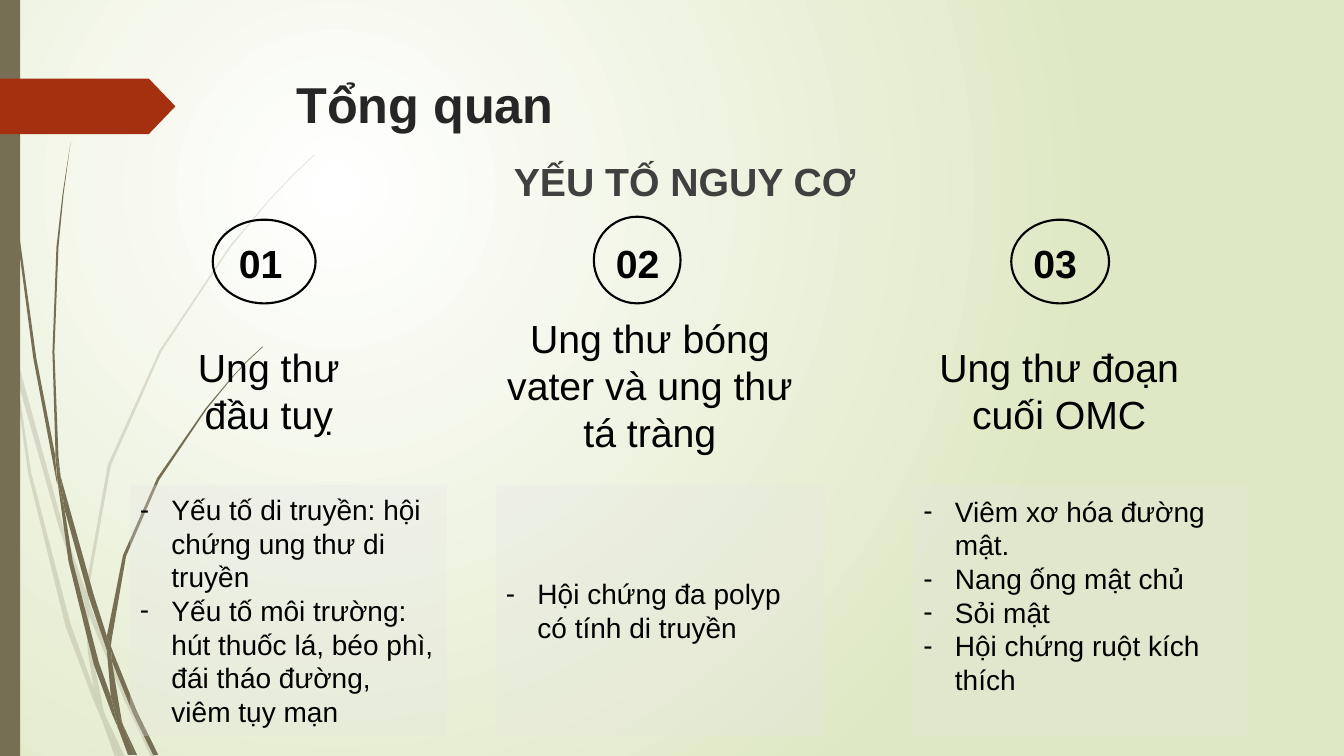
import pptx
import pptx.util
import pptx.dml.color
import pptx.enum.shapes
import pptx.enum.text
import pptx.oxml.ns
import lxml.etree

Inches = pptx.util.Inches
Pt = pptx.util.Pt
RGBColor = pptx.dml.color.RGBColor
MSO_SHAPE = pptx.enum.shapes.MSO_SHAPE
PP_ALIGN = pptx.enum.text.PP_ALIGN
MSO_ANCHOR = pptx.enum.text.MSO_ANCHOR
qn = pptx.oxml.ns.qn

WHITE = RGBColor(0xFF, 0xFF, 0xFF)
PALE_GREEN = RGBColor(0xDF, 0xE8, 0xC4)
OLIVE = RGBColor(0x76, 0x6F, 0x54)
RUST = RGBColor(0xA5, 0x30, 0x10)
CARD_GREY = RGBColor(0xE7, 0xE6, 0xE6)
TITLE_GREY = RGBColor(0x26, 0x26, 0x26)
HEADING_GREY = RGBColor(0x40, 0x40, 0x40)
BLACK = RGBColor(0, 0, 0)
FONT = "Arial"

TITLE = "Tổng quan"
HEADING = "YẾU TỐ NGUY CƠ"
CARD_TOP, CARD_HEIGHT = 4.81, 2.49
BULLET_INDENT = Pt(22.5)

# Boxes are left, top, width, height; cards are left, width, bottom inset.
COLUMNS = [
    dict(number="01", ring=(2.11, 2.18, 1.02, 0.83), number_box=(2.27, 2.33, 0.86, 0.57),
         cancer="Ung thư đầu tuỵ", cancer_box=(1.62, 3.31, 2.09, 1.12),
         card=(1.29, 3.14, 0.05),
         risks=["Yếu tố di truyền: hội chứng ung thư di truyền",
                "Yếu tố môi trường: hút thuốc lá, béo phì, đái tháo đường, viêm tụy mạn"]),
    dict(number="02", ring=(5.89, 2.15, 0.86, 0.86), number_box=(6.01, 2.33, 0.64, 0.57),
         cancer="Ung thư bóng vater và ung thư tá tràng", cancer_box=(4.92, 2.49, 3.05, 2.65),
         card=(4.92, 3.27, 0.05),
         risks=["Hội chứng đa polyp có tính di truyền"]),
    dict(number="03", ring=(10.03, 2.18, 0.97, 0.83), number_box=(10.15, 2.33, 0.86, 0.57),
         cancer="Ung thư đoạn cuối OMC", cancer_box=(9.18, 3.31, 2.65, 1.12),
         card=(9.06, 3.32, 0.35),
         risks=["Viêm xơ hóa đường mật.", "Nang ống mật chủ", "Sỏi mật",
                "Hội chứng ruột kích thích"]),
]

# Corner points of each piece of grass.
PALE_GRASS = [
    [(0.11, 3.5), (0.09, 3.22), (0, 2.82), (0, 2.99), (0.1, 3.44)],
    [(0.58, 5.22), (0.84, 5.99), (0.85, 5.86), (0.62, 5.2), (0.14, 3.45), (0.17, 3.76)],
    [(0.92, 6.07), (0.88, 5.96), (0.88, 6.1), (1.23, 6.94), (1.5, 7.51), (1.55, 7.51),
     (1.27, 6.92)],
    [(1.19, 7.51), (1.24, 7.51), (1.05, 7.11)],
    [(0.93, 6.83), (0.7, 6.19), (0.31, 4.69), (0.17, 3.76), (0.11, 3.5), (0.28, 4.7),
     (0.65, 6.21), (0.92, 6.93), (1.01, 7.14), (0.99, 7.07)],
    [(0.84, 5.99), (0.87, 6.46), (0.93, 6.83), (0.96, 6.92), (1.05, 7.11), (1.03, 7.06),
     (0.91, 6.46), (0.88, 6.1), (0.88, 6.08)],
    [(0.88, 5.84), (1.1, 4.62), (1.6, 3.49), (2.29, 2.45), (2.68, 1.98), (2.9, 1.75),
     (3.12, 1.54), (3.12, 1.53), (2.89, 1.75), (2.68, 1.97), (2.28, 2.44), (1.58, 3.48),
     (1.07, 4.61), (0.85, 5.84), (0.85, 5.86), (0.88, 5.96)],
    [(1.01, 7.14), (1.14, 7.51), (1.19, 7.51)],
    [(0.88, 6.08), (0.88, 6.1), (0.88, 5.96), (0.85, 5.86), (0.84, 5.99)],
    [(0.96, 6.92), (0.93, 6.83), (0.99, 7.07), (1.01, 7.14), (1.19, 7.51), (1.05, 7.11)],
]
DARK_GRASS = [
    [(0.07, 1.1), (0.17, 2.33), (0.33, 3.55), (0.56, 4.77), (0.57, 4.81), (0.55, 4.57),
     (0.55, 4.53), (0.36, 3.55), (0.19, 2.32), (0.08, 1.09), (0.05, 0.48), (0.04, 0),
     (0.03, 0), (0.04, 0.48)],
    [(0.88, 5.92), (1.06, 6.45), (1.06, 6.33), (1.06, 6.31), (0.93, 5.9), (0.6, 4.72),
     (0.64, 5.05)],
    [(1.13, 6.49), (1.1, 6.41), (1.11, 6.56), (1.32, 7.08), (1.52, 7.49), (1.57, 7.49),
     (1.36, 7.06)],
    [(1.1, 6.91), (0.98, 6.57), (0.72, 5.56), (0.64, 5.05), (0.57, 4.77), (0.68, 5.57),
     (0.93, 6.59), (1.11, 7.08), (1.17, 7.22), (1.16, 7.17)],
    [(0.6, 4.72), (0.58, 4.53), (0.54, 3.49), (0.58, 2.45), (0.63, 1.93), (0.7, 1.41),
     (0.62, 1.93), (0.56, 2.45), (0.52, 3.49), (0.55, 4.49)],
    [(1.33, 7.49), (1.36, 7.49), (1.22, 7.19)],
    [(0.57, 4.77), (0.64, 5.05), (0.6, 4.72), (0.55, 4.49), (0.55, 4.53)],
    [(1.11, 6.33), (1.25, 5.52), (1.58, 4.76), (2.05, 4.06), (2.31, 3.74), (2.45, 3.59),
     (2.61, 3.44), (2.6, 3.44), (2.45, 3.58), (2.31, 3.73), (2.04, 4.05), (1.56, 4.74),
     (1.22, 5.51), (1.06, 6.31), (1.1, 6.41)],
    [(1.17, 7.22), (1.27, 7.49), (1.31, 7.49)],
    [(1.06, 6.45), (1.1, 6.91), (1.16, 7.06), (1.22, 7.19), (1.21, 7.16), (1.11, 6.56),
     (1.09, 6.51)],
    [(1.06, 6.45), (1.09, 6.51), (1.11, 6.56), (1.1, 6.41), (1.06, 6.31), (1.06, 6.33)],
    [(1.16, 7.06), (1.1, 6.91), (1.16, 7.17), (1.17, 7.22), (1.3, 7.49), (1.33, 7.49),
     (1.22, 7.19)],
]


def paint(shape, color, opacity=100):
    shape.shadow.inherit = False
    shape.line.fill.background()
    shape.fill.solid()
    shape.fill.fore_color.rgb = color
    if opacity < 100:
        tint = shape.fill._xPr.find(qn("a:solidFill"))[0]
        lxml.etree.SubElement(tint, qn("a:alpha"), val=str(opacity * 1000))


def add_grass(page, corners, opacity):
    outline = [(Inches(x), Inches(y)) for x, y in corners]
    builder = page.shapes.build_freeform(*outline[0])
    builder.add_line_segments(outline[1:], close=True)
    paint(builder.convert_to_shape(), OLIVE, opacity)


def style(frame, size, color, bold=False, align=PP_ALIGN.LEFT):
    for para in frame.paragraphs:
        para.alignment = align
        for span in para.runs:
            span.font.name = FONT
            span.font.size = Pt(size)
            span.font.bold = bold
            span.font.color.rgb = color


def add_text(page, text, place, **look):
    frame = page.shapes.add_textbox(*map(Inches, place)).text_frame
    frame.word_wrap = True
    frame.text = text
    style(frame, 28, **look)
    return frame


def add_column(page, column):
    cancer = add_text(page, column["cancer"], column["cancer_box"], color=BLACK,
                      align=PP_ALIGN.CENTER)
    cancer.vertical_anchor = MSO_ANCHOR.MIDDLE
    cancer.margin_top = cancer.margin_bottom = Inches(0.1)

    ring = page.shapes.add_shape(MSO_SHAPE.OVAL, *map(Inches, column["ring"]))
    ring.shadow.inherit = False
    ring.fill.background()
    ring.line.color.rgb = BLACK
    ring.line.width = Pt(1.5)
    add_text(page, column["number"], column["number_box"], color=BLACK, bold=True)

    left, width, bottom_inset = column["card"]
    card = page.shapes.add_shape(MSO_SHAPE.RECTANGLE, Inches(left), Inches(CARD_TOP),
                                 Inches(width), Inches(CARD_HEIGHT))
    paint(card, CARD_GREY, 29)
    frame = card.text_frame
    frame.word_wrap = True
    frame.vertical_anchor = MSO_ANCHOR.MIDDLE
    frame.margin_bottom = Inches(bottom_inset)
    frame.text = "\n".join(column["risks"])
    for para in frame.paragraphs:
        properties = para._p.get_or_add_pPr()
        properties.set("marL", str(BULLET_INDENT))
        properties.set("indent", str(-BULLET_INDENT))
        lxml.etree.SubElement(properties, qn("a:buFont"), typeface=FONT)
        lxml.etree.SubElement(properties, qn("a:buChar"), char="-")
    style(frame, 20, BLACK)


def set_background(page):
    fill = page.background.fill
    fill.gradient()
    for stop, color in zip(fill.gradient_stops, (WHITE, PALE_GREEN)):
        stop.color.rgb = color
    gradient = page._element.find(".//" + qn("a:gradFill"))
    circle = lxml.etree.Element(qn("a:path"), path="circle")
    lxml.etree.SubElement(circle, qn("a:fillToRect"), l="50000", t="50000",
                          r="100000", b="100000")
    gradient.replace(gradient.find(qn("a:lin")), circle)


def main():
    deck = pptx.Presentation()
    deck.slide_width, deck.slide_height = Inches(13.33), Inches(7.5)
    page = deck.slides.add_slide(deck.slide_layouts[5])
    set_background(page)

    for pieces, opacity in ((PALE_GRASS, 20), (DARK_GRASS, 100)):
        for corners in pieces:
            add_grass(page, corners, opacity)
    bar = page.shapes.add_shape(MSO_SHAPE.RECTANGLE, 0, 0, Inches(0.2), deck.slide_height)
    paint(bar, OLIVE)
    pennant = page.shapes.add_shape(MSO_SHAPE.PENTAGON, 0, Inches(0.78), Inches(1.74),
                                    Inches(0.55))
    pennant.adjustments[0] = 0.48
    paint(pennant, RUST)

    title = page.shapes.title
    title.left, title.top, title.width, title.height = map(Inches, (2.84, 0.68, 9.75, 1.4))
    title.text_frame.text = TITLE
    title.text_frame.vertical_anchor = MSO_ANCHOR.TOP
    style(title.text_frame, 36, TITLE_GREY, bold=True)
    add_text(page, HEADING, (0.25, 1.51, 13.08, 5.99), color=HEADING_GREY, bold=True,
             align=PP_ALIGN.CENTER)
    for column in COLUMNS:
        add_column(page, column)
    deck.save("out.pptx")


if __name__ == "__main__":
    main()
